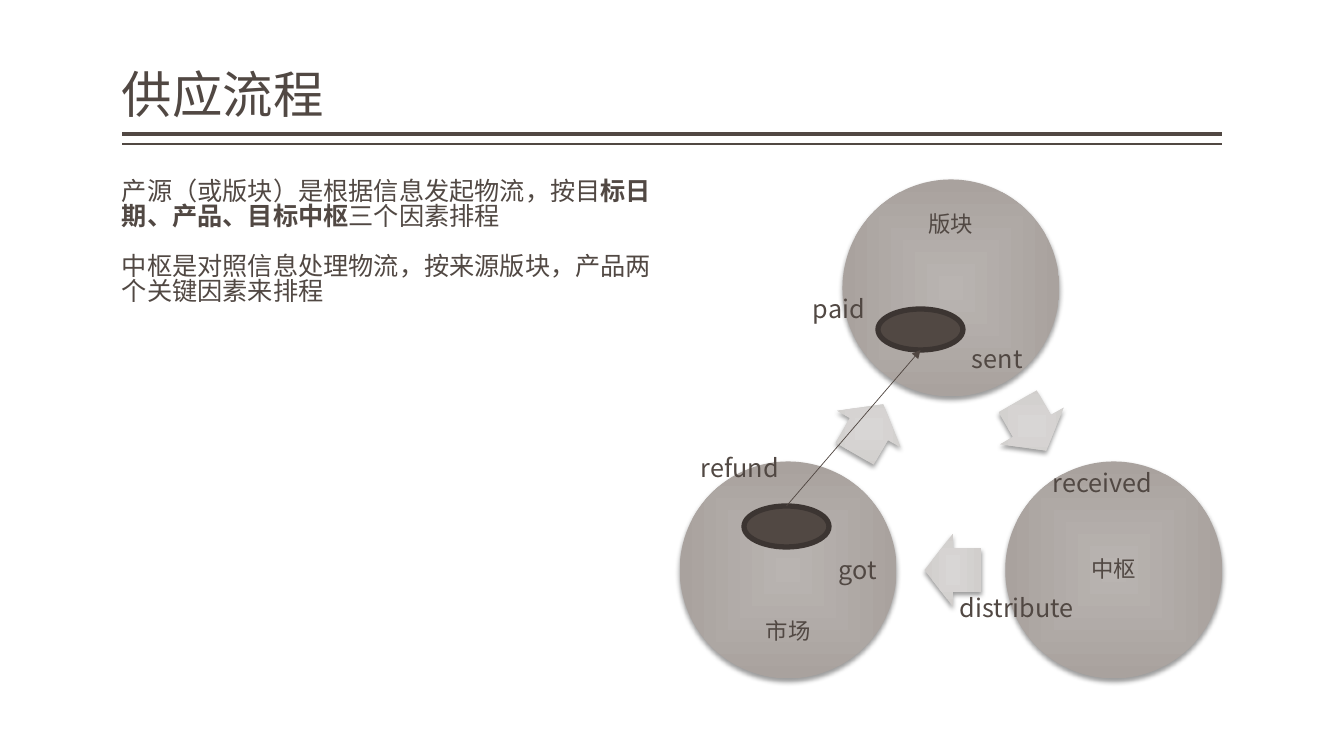
"""Build the supply process slide with its three-stage cycle."""
import math

from lxml import etree
from pptx import Presentation, util as u
from pptx.dml.color import RGBColor
from pptx.enum import shapes, text
from pptx.oxml.ns import qn

TITLE = "供应流程"
BODY = [
    [("产源（或版块）是根据信息发起物流，按目", False),
     ("标日期、产品、目标中枢", True),
     ("三个因素排程", False)],
    [("中枢是对照信息处理物流，按来源版块，产品两个关键因素来排程", False)],
]
STAGES = [
    ("版块", -90, text.MSO_ANCHOR.TOP),
    ("中枢", 30, text.MSO_ANCHOR.MIDDLE),
    ("市场", 150, text.MSO_ANCHOR.BOTTOM),
]
ARROWS = [(1032, 426, 60), (953, 570, 180), (869, 429, 300)]
OVALS = [(744, 506), (878, 309)]
LABELS = [
    ("paid", 803, 288, 85),
    ("sent", 962, 338, 85),
    ("received", 1043, 462, 157),
    ("distribute", 950, 587, 174),
    ("got", 829, 549, 140),
    ("refund", 691, 447, 116),
]
RULES = [(134, 3), (144, 1)]

FONT = "Noto Sans CJK SC"
COLORS = {
    "text": "514843", "oval_edge": "3C3532", "flow": "504641",
    "circle_inner": "B9B4B1", "circle_outer": "A9A29E",
    "arrow_inner": "D8D6D5", "arrow_outer": "D1CECC", "shadow": "000000",
}
PX = 914400 / 100.8
LEFT, RIGHT = 122, 1222
CYCLE_X, CYCLE_Y, CYCLE_RADIUS = 951, 476, 188
CIRCLE, CAPTION = 217, 153
ARROW_W, ARROW_H = 57, 73
OVAL_W, OVAL_H = 85, 41


def px(*lengths):
    return [u.Emu(round(length * PX)) for length in lengths]


def color(name):
    return RGBColor.from_string(COLORS[name])


def add_text(slide, box, paragraphs, size, inset, anchor=text.MSO_ANCHOR.TOP,
             align=text.PP_ALIGN.LEFT, spacing=None, gap=0):
    shape = slide.shapes.add_textbox(*px(*box))
    frame = shape.text_frame
    frame.word_wrap = True
    frame.vertical_anchor = anchor
    frame.margin_left, frame.margin_top, frame.margin_right, frame.margin_bottom = px(
        *inset, *inset)
    for index, pieces in enumerate(paragraphs):
        paragraph = frame.add_paragraph() if index else frame.paragraphs[0]
        paragraph.alignment = align
        if spacing:
            paragraph.line_spacing = spacing
        if index:
            paragraph.space_before = u.Pt(gap)
        for words, bold in pieces:
            run = paragraph.add_run()
            run.text = words
            run.font.size = u.Pt(size)
            run.font.bold = bold
            run.font.color.rgb = color("text")
            run.font.name = FONT
            etree.SubElement(run.font._element, qn("a:ea"), typeface=FONT)
    return shape


def add_line(slide, start, end, color_name, width):
    line = slide.shapes.add_connector(
        shapes.MSO_CONNECTOR.STRAIGHT, *px(*start, *end))
    line.line.color.rgb = color(color_name)
    line.line.width = u.Pt(width)
    etree.SubElement(line._element.spPr, qn("a:effectLst"))
    return line


def add_centred(slide, kind, x, y, width, height, name):
    """Add a shape with a centre-out gradient and a soft shadow."""
    shape = slide.shapes.add_shape(
        kind, *px(x - width / 2, y - height / 2, width, height))
    shape.line.fill.background()
    shape.fill.gradient()
    for stop, part, position in zip(shape.fill.gradient_stops, ("inner", "outer"), (0, 1)):
        stop.color.rgb = color(f"{name}_{part}")
        stop.position = position
    properties = shape._element.spPr
    gradient = properties.find(qn("a:gradFill"))
    gradient.remove(gradient.find(qn("a:lin")))
    path = etree.SubElement(gradient, qn("a:path"), {"path": "rect"})
    etree.SubElement(path, qn("a:fillToRect"), l="50000", t="50000", r="50000", b="50000")
    shape.shadow.inherit = False
    shadow = etree.SubElement(
        properties.find(qn("a:effectLst")), qn("a:outerShdw"), blurRad=str(u.Pt(3.5)),
        dist=str(u.Pt(2)), dir="5400000", rotWithShape="0")
    tint = etree.SubElement(shadow, qn("a:srgbClr"), val=COLORS["shadow"])
    etree.SubElement(tint, qn("a:alpha"), val="38000")
    return shape


def add_cycle(slide):
    for name, angle, anchor in STAGES:
        x = CYCLE_X + CYCLE_RADIUS * math.cos(math.radians(angle))
        y = CYCLE_Y + CYCLE_RADIUS * math.sin(math.radians(angle))
        add_centred(slide, shapes.MSO_SHAPE.OVAL, x, y, CIRCLE, CIRCLE, "circle")
        box = (x - CAPTION / 2, y - CAPTION / 2, CAPTION, CAPTION)
        add_text(slide, box, [[(name, False)]], 16, (2, 2), anchor,
                 text.PP_ALIGN.CENTER, 0.9)
    for x, y, angle in ARROWS:
        arrow = add_centred(slide, shapes.MSO_SHAPE.RIGHT_ARROW, x, y,
                            ARROW_W, ARROW_H, "arrow")
        arrow.adjustments[0] = 0.6
        arrow.adjustments[1] = 0.5
        arrow.rotation = angle


def add_refund_flow(slide):
    for x, y in OVALS:
        oval = slide.shapes.add_shape(
            shapes.MSO_SHAPE.OVAL, *px(x, y, OVAL_W, OVAL_H))
        oval.shadow.inherit = False
        oval.fill.solid()
        oval.fill.fore_color.rgb = color("text")
        oval.line.color.rgb = color("oval_edge")
        oval.line.width = u.Pt(3.78)
    (market_x, market_y), (block_x, block_y) = OVALS
    flow = add_line(slide, (market_x + OVAL_W / 2, market_y),
                    (block_x + OVAL_W / 2, block_y + OVAL_H), "flow", 0.5)
    etree.SubElement(flow.line._get_or_add_ln(), qn("a:tailEnd"), type="triangle")


def main():
    presentation = Presentation()
    presentation.slide_width, presentation.slide_height = px(1344, 756)
    slide = presentation.slides.add_slide(presentation.slide_layouts[6])
    for y, width in RULES:
        add_line(slide, (RIGHT, y), (LEFT, y), "text", width)
    add_text(slide, (LEFT, 8, RIGHT - LEFT, 121), [[(TITLE, False)]], 36, (0, 5),
             text.MSO_ANCHOR.BOTTOM, spacing=0.9)
    add_text(slide, (LEFT, 176, 542, 504), BODY, 18, (0, 5), spacing=0.82, gap=18)
    add_cycle(slide)
    add_refund_flow(slide)
    for words, x, y, width in LABELS:
        label = add_text(slide, (x, y, width, 40), [[(words, False)]], 18, (10, 5))
        label.text_frame.auto_size = text.MSO_AUTO_SIZE.SHAPE_TO_FIT_TEXT
    presentation.save("out.pptx")


if __name__ == "__main__":
    main()
